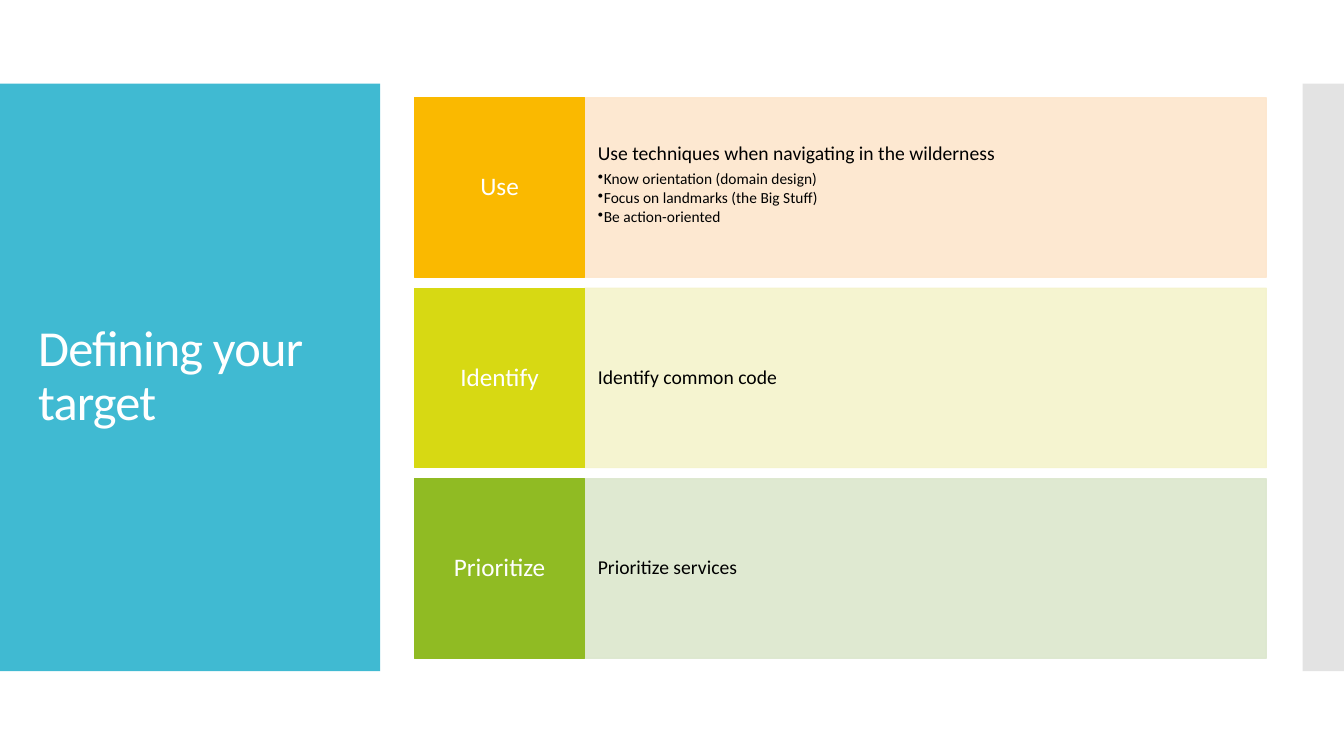
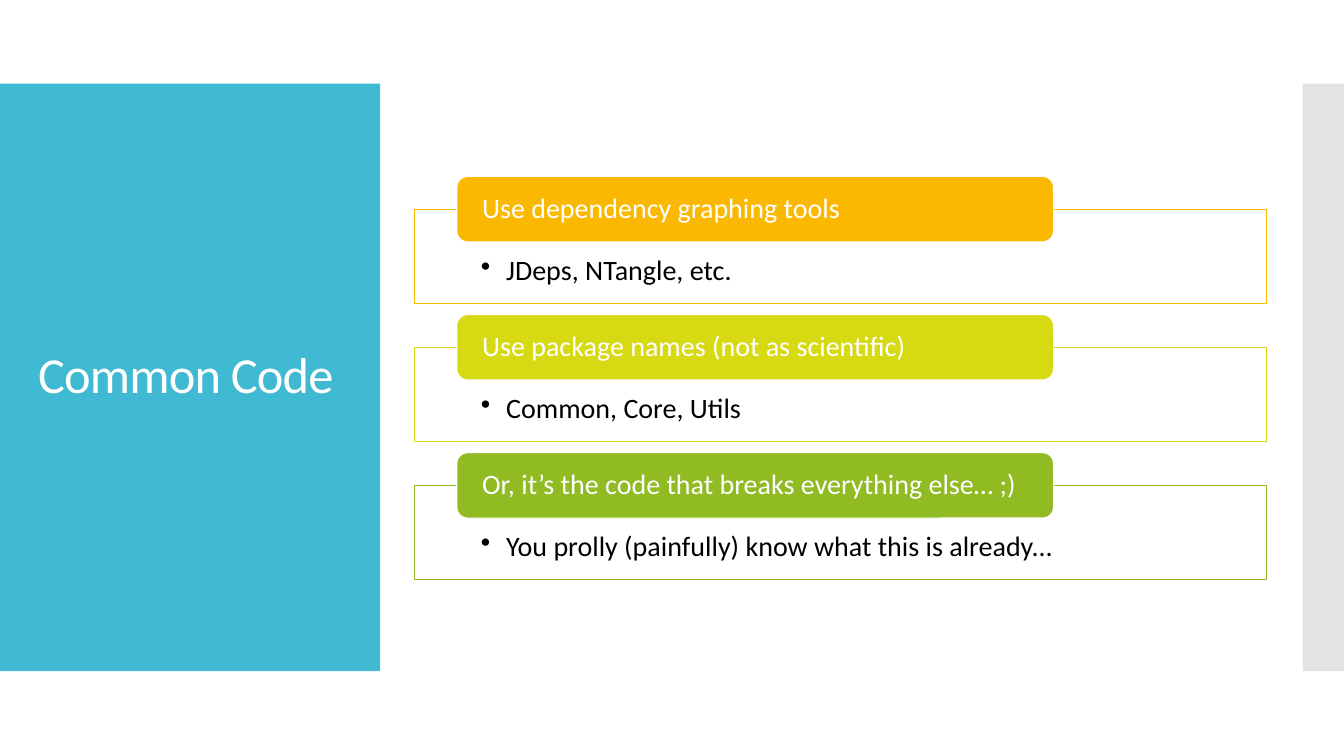
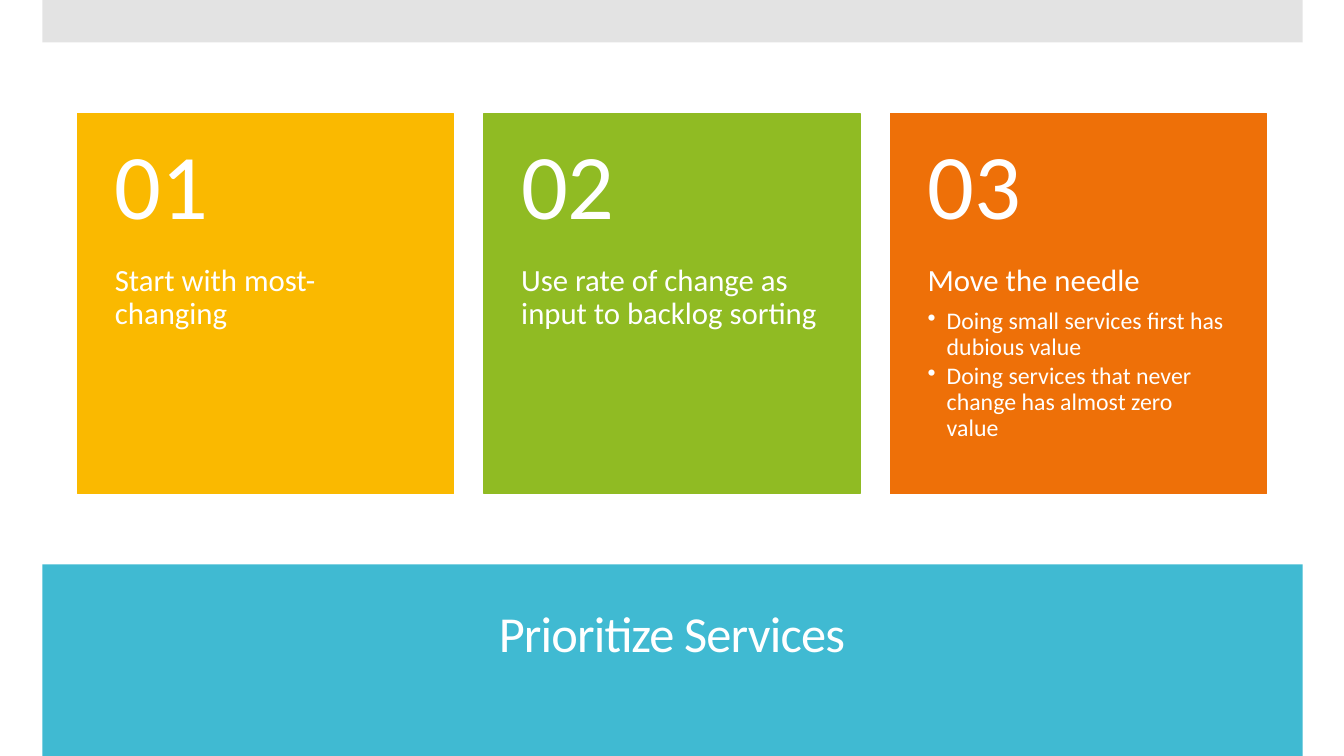
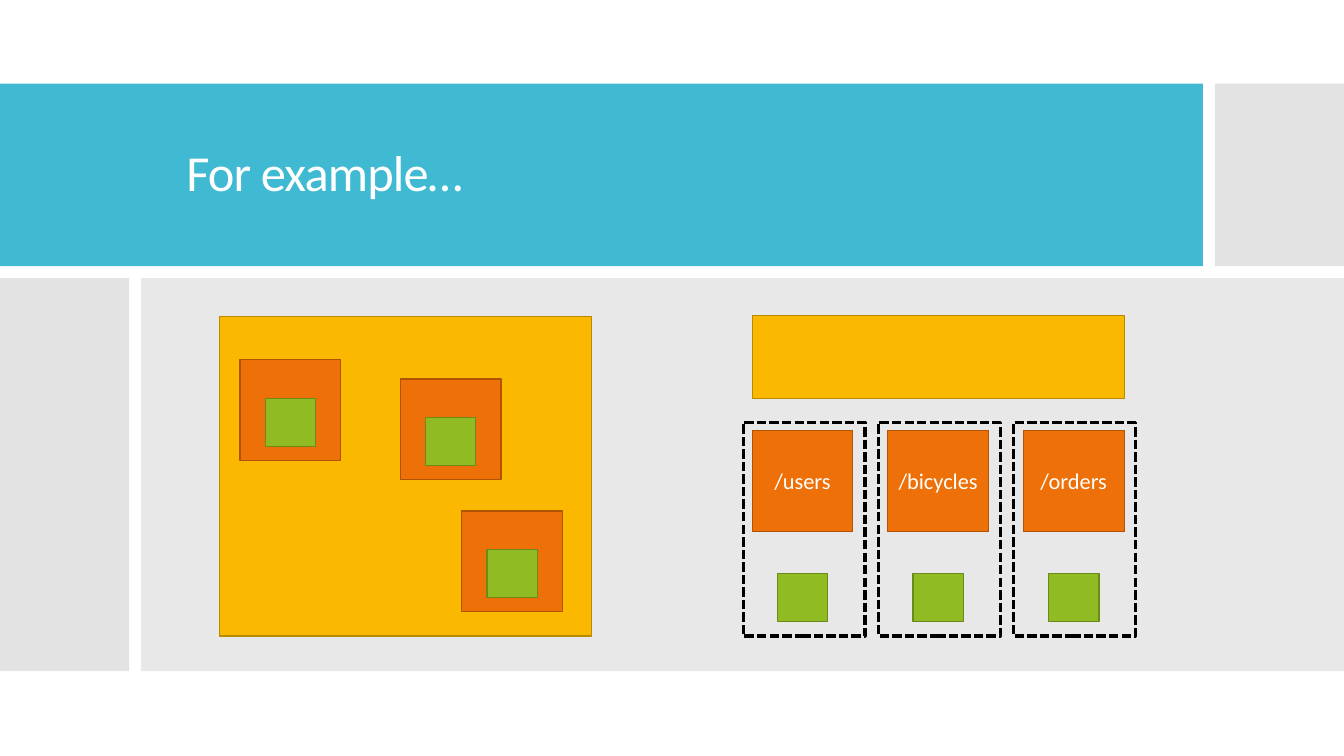
from dataclasses import dataclass
from typing import Optional

import pptx
import pptx.dml.color
import pptx.enum.dml
import pptx.enum.shapes
import pptx.enum.text
import pptx.oxml
import pptx.oxml.ns
import pptx.slide
import pptx.text.text
import pptx.util
from pptx.util import Inches

RECT = pptx.enum.shapes.MSO_SHAPE.RECTANGLE
ROUNDED = pptx.enum.shapes.MSO_SHAPE.ROUNDED_RECTANGLE
TOP = pptx.enum.text.MSO_ANCHOR.TOP
MIDDLE = pptx.enum.text.MSO_ANCHOR.MIDDLE
LEFT = pptx.enum.text.PP_ALIGN.LEFT
CENTER = pptx.enum.text.PP_ALIGN.CENTER
DASHED = pptx.enum.dml.MSO_LINE.SQUARE_DOT

Box = tuple[float, float, float, float]  # left, top, width, height in inches
Insets = tuple[float, float, float, float]  # left, top, right, bottom in inches


@dataclass(frozen=True)
class Theme:
    font: str = "Calibri"
    # Colours
    teal: str = "40BAD2"
    amber: str = "FAB900"
    lime: str = "D7D913"
    green: str = "90BB23"
    orange: str = "EE7008"
    amber_tint: str = "FDE6CC"
    lime_tint: str = "F4F3CB"
    green_tint: str = "DCE7CD"
    amber_edge: str = "B98900"
    orange_edge: str = "B05306"
    green_edge: str = "6B8A1A"
    gray: str = "C8C8C8"
    light_gray: str = "D9D9D9"
    white: str = "FFFFFF"
    black: str = "000000"
    # Type sizes and line widths
    title: float = 36
    number: float = 66
    card: float = 22
    card_bullet: float = 17
    topic: float = 20
    label: float = 18
    endpoint: float = 16
    row: float = 14
    row_bullet: float = 11
    hairline: float = 0.85
    dash: float = 2.25


T = Theme()


@dataclass(frozen=True)
class Row:
    label: str
    text: str
    color: str
    tint: str
    bullets: tuple[str, ...] = ()


@dataclass(frozen=True)
class Topic:
    heading: str
    detail: str
    color: str


@dataclass(frozen=True)
class Card:
    text: str
    color: str
    bullets: tuple[str, ...] = ()


# Shared drawing functions
def rgb(color: str) -> pptx.dml.color.RGBColor:
    return pptx.dml.color.RGBColor.from_string(color)


def add_box(s: pptx.slide.Slide, box: Box, fill: Optional[str], *,
            line: Optional[str] = None, width: float = T.hairline,
            dash: Optional[pptx.enum.dml.MSO_LINE] = None, opacity: int = 100,
            kind: pptx.enum.shapes.MSO_SHAPE = RECT):
    """Draw a preset shape; opacity applies to both fill and line."""
    sp = s.shapes.add_shape(kind, *map(Inches, box))
    sp.shadow.inherit = False
    if fill:
        sp.fill.solid()
        sp.fill.fore_color.rgb = rgb(fill)
    else:
        sp.fill.background()
    if line:
        sp.line.color.rgb = rgb(line)
        sp.line.width = pptx.util.Pt(width)
        if dash:
            sp.line.dash_style = dash
    else:
        sp.line.fill.background()
    if opacity < 100:
        for clr in sp._element.spPr.iter(pptx.oxml.ns.qn("a:srgbClr")):
            alpha = pptx.oxml.parse_xml(
                f'<a:alpha {pptx.oxml.ns.nsdecls("a")} val="{opacity * 1000}"/>')
            clr.append(alpha)
    return sp


def set_frame(sp, anchor: pptx.enum.text.MSO_ANCHOR = MIDDLE,
              insets: Insets = (0.1, 0.05, 0.1, 0.05)) -> pptx.text.text.TextFrame:
    tf = sp.text_frame
    tf.word_wrap = True
    tf.vertical_anchor = anchor
    tf.margin_left, tf.margin_top, tf.margin_right, tf.margin_bottom = map(Inches, insets)
    return tf


def add_frame(s: pptx.slide.Slide, box: Box, anchor: pptx.enum.text.MSO_ANCHOR = MIDDLE,
              insets: Insets = (0.1, 0.05, 0.1, 0.05)) -> pptx.text.text.TextFrame:
    return set_frame(s.shapes.add_textbox(*map(Inches, box)), anchor, insets)


def add_text(tf: pptx.text.text.TextFrame, text: str, *, size: float,
             color: str = T.white, align: pptx.enum.text.PP_ALIGN = LEFT,
             leading: float = 0.9, after: float = 0, tracking: float = 0,
             bullet: float = 0) -> None:
    """Add a paragraph; after is a share of the size, bullet a hanging indent in inches."""
    p = tf.paragraphs[0] if not tf.paragraphs[0].runs else tf.add_paragraph()
    p.alignment = align
    p.line_spacing = leading
    p.space_after = pptx.util.Pt(size * after)
    if bullet:
        pPr = p._p.get_or_add_pPr()
        pPr.set("marL", str(Inches(bullet)))
        pPr.set("indent", str(-Inches(bullet)))
        pPr.append(pptx.oxml.parse_xml(
            f'<a:buChar {pptx.oxml.ns.nsdecls("a")} char="•"/>'))
    r = p.add_run()
    r.text = text
    r.font.name = T.font
    r.font.size = pptx.util.Pt(size)
    r.font.color.rgb = rgb(color)
    if tracking:
        r._r.get_or_add_rPr().set("spc", str(round(tracking * 100)))


def add_title(s: pptx.slide.Slide, text: str, box: Box,
              align: pptx.enum.text.PP_ALIGN = LEFT) -> None:
    add_text(add_frame(s, box), text, size=T.title, align=align, tracking=-0.6)


def add_side_title(s: pptx.slide.Slide, text: str) -> None:
    add_box(s, (0, 0.83, 3.77, 5.83), T.teal)
    add_box(s, (12.92, 0.83, 0.42, 5.83), T.gray, opacity=50)
    add_title(s, text, (0.28, 1.23, 3.22, 5.03))


prs = pptx.Presentation()
prs.slide_width, prs.slide_height = Inches(13.33), Inches(7.5)


def new_slide() -> pptx.slide.Slide:
    return prs.slides.add_slide(prs.slide_layouts[6])


# Slide 1: labelled rows
def build_target() -> None:
    rows = (
        Row("Use", "Use techniques when navigating in the wilderness", T.amber, T.amber_tint,
            ("Know orientation (domain design)", "Focus on landmarks (the Big Stuff)",
             "Be action-oriented")),
        Row("Identify", "Identify common code", T.lime, T.lime_tint),
        Row("Prioritize", "Prioritize services", T.green, T.green_tint),
    )
    s = new_slide()
    add_side_title(s, "Defining your target")
    for i, row in enumerate(rows):
        top, height = 0.97 + 1.89 * i, 1.78
        sp = add_box(s, (5.8, top, 6.76, height), row.tint, line=row.tint, opacity=90)
        tf = set_frame(sp, TOP if row.bullets else MIDDLE, (0.13, 0.45, 0.13, 0.45))
        add_text(tf, row.text, size=T.row, color=T.black, after=0.35)
        for bullet in row.bullets:
            add_text(tf, bullet, size=T.row_bullet, color=T.black, after=0.15, bullet=0.06)
        sp = add_box(s, (4.11, top, 1.69, height), row.color, line=row.color)
        tf = set_frame(sp, insets=(0.09, 0.18, 0.09, 0.18))
        add_text(tf, row.label, size=T.label, align=CENTER, after=0.35)


# Slide 2: outlined boxes with heading tabs
def build_common_code() -> None:
    topics = (
        Topic("Use dependency graphing tools", "JDeps, NTangle, etc.", T.amber),
        Topic("Use package names (not as scientific)", "Common, Core, Utils", T.lime),
        Topic("Or, it’s the code that breaks everything else… ;)",
              "You prolly (painfully) know what this is already...", T.green),
    )
    s = new_slide()
    add_side_title(s, "Common Code")
    for i, topic in enumerate(topics):
        top = 1.75 + 1.37 * i
        sp = add_box(s, (4.11, top + 0.33, 8.45, 0.93), T.white, line=topic.color)
        tf = set_frame(sp, TOP, (0.66, 0.46, 0.66, 0.16))
        add_text(tf, topic.detail, size=T.topic, color=T.black, after=0.15, bullet=0.25)
        sp = add_box(s, (4.53, top, 5.92, 0.65), topic.color, line=T.white, kind=ROUNDED)
        # The rounded corners add their own small inset to the text area
        tf = set_frame(sp, insets=(0.22, 0, 0.22, 0))
        add_text(tf, topic.heading, size=T.topic, after=0.35)


# Slide 3: numbered cards
def build_priorities() -> None:
    cards = (
        Card("Start with most-changing", T.amber),
        Card("Use rate of change as input to backlog sorting", T.green),
        Card("Move the needle", T.orange,
             ("Doing small services first has dubious value",
              "Doing services that never change has almost zero value")),
    )
    s = new_slide()
    add_box(s, (0.42, 5.6, 12.5, 1.9), T.teal)
    add_title(s, "Prioritize Services", (0.7, 5.75, 11.93, 1.12), CENTER)
    add_box(s, (0.42, 0, 12.5, 0.42), T.gray, opacity=50)
    for i, card in enumerate(cards):
        left, top, width = 0.77 + 4.03 * i, 1.13, 3.73
        add_box(s, (left, top, width, 3.77), card.color, line=card.color)
        tf = add_frame(s, (left, top + 1.5, width, 2.26), TOP, (0.37, 0, 0.37, 0.36))
        add_text(tf, card.text, size=T.card, after=0.35)
        for bullet in card.bullets:
            add_text(tf, bullet, size=T.card_bullet, after=0.15, bullet=0.19)
        tf = add_frame(s, (left, top, width, 1.51), insets=(0.37, 0.18, 0.37, 0.18))
        add_text(tf, f"{i + 1:02}", size=T.number, after=0.35)


# Slide 4: one application beside separate services
def add_service(s: pptx.slide.Slide, left: float, top: float, store_drop: float,
                name: str = "") -> None:
    """Draw a service square and its data store, store_drop below the service's top."""
    sp = add_box(s, (left, top, 1, 1), T.orange, line=T.orange_edge)
    if name:
        add_text(set_frame(sp), name, size=T.endpoint, align=CENTER, leading=1)
    add_box(s, (left + 0.25, top + store_drop, 0.5, 0.48), T.green, line=T.green_edge)


def build_example() -> None:
    s = new_slide()
    add_box(s, (0, 0.83, 11.93, 1.81), T.teal)
    add_title(s, "For example…", (1.75, 1.19, 9.82, 1.09))
    add_box(s, (12.05, 0.83, 1.28, 1.81), T.gray, opacity=50)
    add_box(s, (0, 2.76, 1.28, 3.9), T.gray, opacity=50)
    add_box(s, (1.4, 2.76, 11.93, 3.9), T.light_gray, opacity=60)

    # Everything inside one application
    add_box(s, (2.18, 3.14, 3.69, 3.17), T.amber, line=T.amber_edge)
    for left, top in ((2.38, 3.57), (3.97, 3.76), (4.58, 5.07)):
        add_service(s, left, top, 0.38)

    # Services with their own stores
    add_box(s, (7.46, 3.13, 3.69, 0.82), T.amber, line=T.amber_edge)
    for i, name in enumerate(("/users", "/bicycles", "/orders")):
        add_service(s, 7.46 + 1.345 * i, 4.27, 1.42, name)
        add_box(s, (7.37 + 1.34 * i, 4.19, 1.21, 2.12), None,
                line=T.black, width=T.dash, dash=DASHED)


build_target()
build_common_code()
build_priorities()
build_example()
prs.save("out.pptx")
